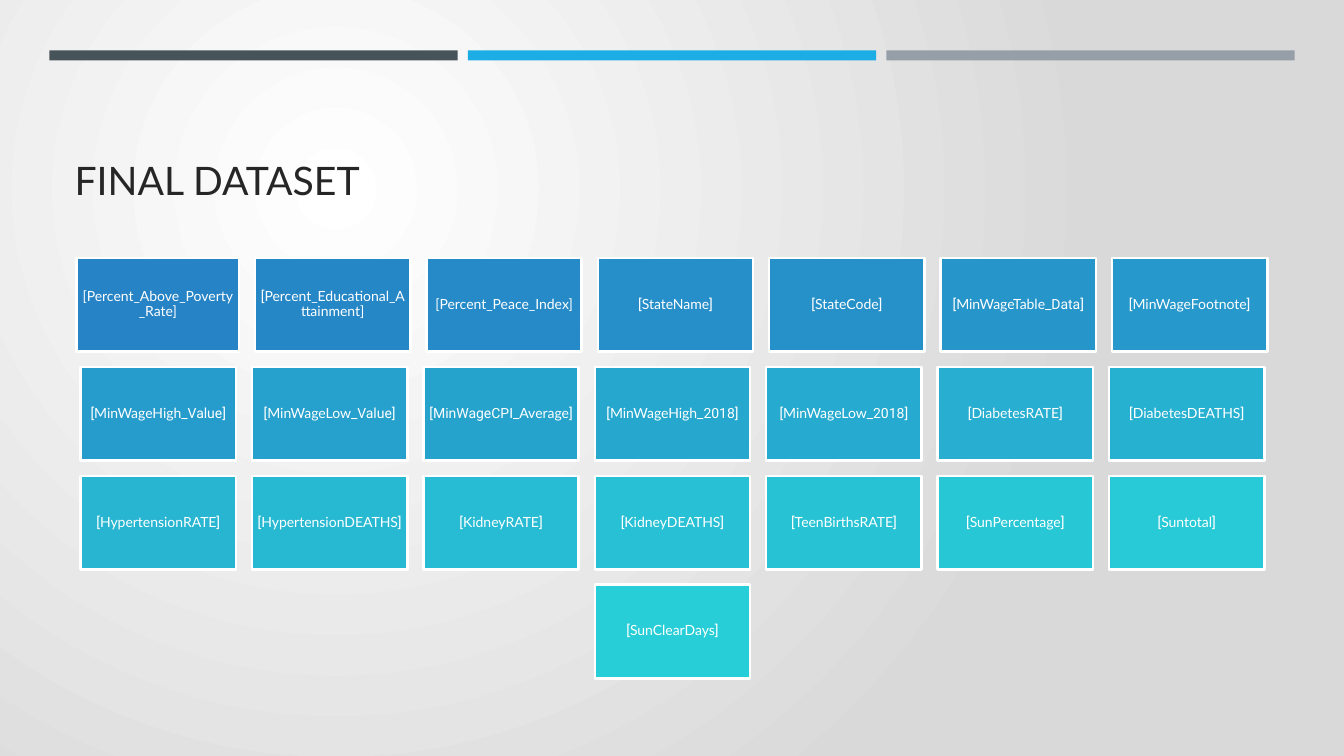
"""Build the final dataset slide: a title above centred rows of column-name tiles."""
from dataclasses import dataclass

from pptx import Presentation
from pptx.dml.color import RGBColor
from pptx.enum.shapes import MSO_SHAPE
from pptx.enum.text import MSO_ANCHOR, MSO_AUTO_SIZE, PP_ALIGN
from pptx.oxml import parse_xml
from pptx.oxml.ns import nsdecls
from pptx.util import Pt

PX = 9144
WIDTH, HEIGHT = 1333, 750


@dataclass(frozen=True)
class Theme:
    backdrop: tuple = ("FFFFFF", "D9D9D9")
    bars: tuple = ("465359", "1CADE4", "969FA7")
    tile_first: tuple = (38, 131, 198)
    tile_last: tuple = (39, 206, 215)
    white: str = "FFFFFF"
    ink: str = "262626"
    title_size: int = 28
    tile_size: int = 10
    border: float = 1.75
    font: str = "Lato"
    symbol_font: str = "Roboto"


class SlideBuilder:
    def __init__(self, slide, theme):
        self.s = slide
        self.theme = theme

    def place(self, sp, x, y, w, h):
        sp.left, sp.top, sp.width, sp.height = (v * PX for v in (x, y, w, h))

    def add_run(self, p, text, font, size, color):
        r = p.add_run()
        r.text = text
        r.font.name = font
        r.font.size = Pt(size)
        r.font.color.rgb = RGBColor.from_string(color)

    def background(self):
        inner, outer = self.theme.backdrop
        self.s.element.cSld.insert(0, parse_xml(
            f'<p:bg {nsdecls("p", "a")}><p:bgPr><a:gradFill rotWithShape="1"><a:gsLst>'
            f'<a:gs pos="0"><a:srgbClr val="{inner}"/></a:gs>'
            f'<a:gs pos="100000"><a:srgbClr val="{outer}"/></a:gs></a:gsLst>'
            '<a:path path="circle">'
            '<a:fillToRect l="50000" t="50000" r="100000" b="100000"/></a:path>'
            '</a:gradFill><a:effectLst/></p:bgPr></p:bg>'))

    def title(self, text, x, y, w, h):
        sp = self.s.shapes.title
        self.place(sp, x, y, w, h)
        tf = sp.text_frame
        tf.auto_size = MSO_AUTO_SIZE.NONE
        tf.vertical_anchor = MSO_ANCHOR.BOTTOM
        p = tf.paragraphs[0]
        p.alignment = PP_ALIGN.LEFT
        self.add_run(p, text, self.theme.font, self.theme.title_size, self.theme.ink)

    def rect(self, x, y, w, h, fill):
        sp = self.s.shapes.add_shape(MSO_SHAPE.RECTANGLE, *(v * PX for v in (x, y, w, h)))
        sp.shadow.inherit = False
        sp.fill.solid()
        sp.fill.fore_color.rgb = fill
        sp.line.fill.background()
        return sp

    def tile(self, label, x, y, w, h, fill):
        sp = self.rect(x, y, w, h, fill)
        sp.line.color.rgb = RGBColor.from_string(self.theme.white)
        sp.line.width = Pt(self.theme.border)
        tf = sp.text_frame
        tf.word_wrap = True
        tf.vertical_anchor = MSO_ANCHOR.MIDDLE
        tf.margin_left = tf.margin_right = tf.margin_top = tf.margin_bottom = 4 * PX
        p = tf.paragraphs[0]
        p.alignment = PP_ALIGN.CENTER
        p.line_spacing = 0.9
        for i, part in enumerate(label.split("|")):
            if part:
                font = self.theme.font if i % 2 else self.theme.symbol_font
                self.add_run(p, part, font, self.theme.tile_size, self.theme.white)


# The "|" marks switch between the symbol font and the main font.
COLUMNS = [
    "|[Percent_Above_Poverty_Rate]", "[|Percent_Educational_Attainment]",
    "|[Percent_Peace_Index]", "[|StateName|]", "[|StateCode|]",
    "[|MinWageTable|_Data]", "[|MinWageFootnote|]", "[|MinWageHigh|_Value]",
    "[|MinWageLow|_Value]", "[MinWageCPI_|Average|]", "[|MinWageHigh|_2018]",
    "[|MinWageLow|_2018]", "[|DiabetesRATE|]", "[|DiabetesDEATHS|]",
    "[|HypertensionRATE|]", "[|HypertensionDEATHS|]", "[|KidneyRATE|]",
    "[|KidneyDEATHS|]", "[|TeenBirthsRATE|]", "[|SunPercentage|]",
    "[|Suntotal|]", "[|SunClearDays|]",
]
PER_ROW, TILE_W, FIRST_TILE_W, TILE_H = 7, 154, 161, 93
GAP, ROWS_TOP, ROW_PITCH = 16, 256, 108


def tile_color(theme, index):
    t = index / (len(COLUMNS) - 1)
    return RGBColor(*(round(a + (b - a) * t)
                      for a, b in zip(theme.tile_first, theme.tile_last)))


def main():
    prs = Presentation()
    prs.slide_width, prs.slide_height = WIDTH * PX, HEIGHT * PX
    theme = Theme()
    b = SlideBuilder(prs.slides.add_slide(prs.slide_layouts[5]), theme)
    b.background()
    for i, color in enumerate(theme.bars):
        b.rect(49 + 415 * i, 50, 405, 10, RGBColor.from_string(color))
    b.title("FINAL DATASET", 64, 77, 1206, 130)

    for start in range(0, len(COLUMNS), PER_ROW):
        labels = COLUMNS[start:start + PER_ROW]
        widths = [TILE_W] * len(labels)
        if start == 0:
            widths[0] = FIRST_TILE_W
        x = round((WIDTH - sum(widths) - GAP * (len(widths) - 1)) / 2)
        y = ROWS_TOP + ROW_PITCH * (start // PER_ROW)
        for i, (label, w) in enumerate(zip(labels, widths), start):
            b.tile(label, x, y, w, TILE_H, tile_color(theme, i))
            x += w + GAP

    prs.save("out.pptx")


if __name__ == "__main__":
    main()
